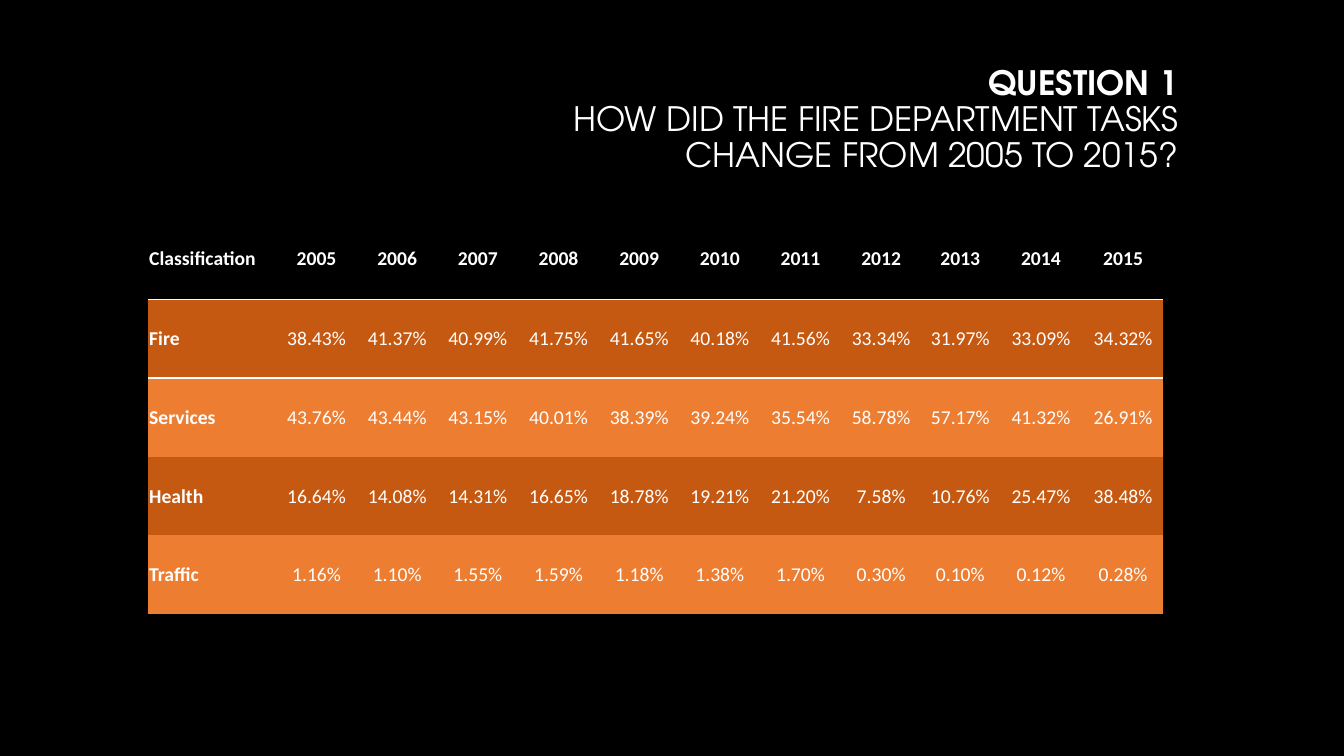
from lxml import etree
from pptx import Presentation
from pptx.dml.color import RGBColor
from pptx.enum.text import MSO_ANCHOR, PP_ALIGN
from pptx.oxml.ns import qn
from pptx.util import Inches, Pt

BLACK = RGBColor(0x00, 0x00, 0x00)
WHITE = RGBColor(0xFF, 0xFF, 0xFF)
DARK = RGBColor(0xC6, 0x59, 0x11)
LIGHT = RGBColor(0xED, 0x7D, 0x31)
MIDDLE = MSO_ANCHOR.MIDDLE
LEFT, CENTER, RIGHT = PP_ALIGN.LEFT, PP_ALIGN.CENTER, PP_ALIGN.RIGHT
NO_GRID = "{2D5ABB26-0587-4C30-8999-92F81FD0307C}"

ROWS = [
    ["Classification"] + [str(year) for year in range(2005, 2016)],
    ["Fire", "38.43%", "41.37%", "40.99%", "41.75%", "41.65%", "40.18%",
     "41.56%", "33.34%", "31.97%", "33.09%", "34.32%"],
    ["Services", "43.76%", "43.44%", "43.15%", "40.01%", "38.39%", "39.24%",
     "35.54%", "58.78%", "57.17%", "41.32%", "26.91%"],
    ["Health", "16.64%", "14.08%", "14.31%", "16.65%", "18.78%", "19.21%",
     "21.20%", "7.58%", "10.76%", "25.47%", "38.48%"],
    ["Traffic", "1.16%", "1.10%", "1.55%", "1.59%", "1.18%", "1.38%",
     "1.70%", "0.30%", "0.10%", "0.12%", "0.28%"],
]
WIDTHS = [1.27] + [0.8] * 8 + [0.77, 0.83, 0.8]
HEIGHTS = [0.81] + [0.78] * 4
FILLS = [BLACK, DARK, LIGHT, DARK, LIGHT]


def add_run(para, text, font, size, bold):
    run = para.add_run()
    run.text = text
    run.font.name = font
    run.font.size = Pt(size)
    run.font.bold = bold
    run.font.color.rgb = WHITE


def add_edge(cell, side):
    props = cell._tc.get_or_add_tcPr()
    line = etree.Element(qn("a:" + side), w=str(Pt(1)))
    fill = etree.SubElement(line, qn("a:solidFill"))
    etree.SubElement(fill, qn("a:srgbClr"), val=str(WHITE))
    props.insert(0, line)


# Slide
deck = Presentation()
deck.slide_width, deck.slide_height = Inches(13.33), Inches(7.5)
slide = deck.slides.add_slide(deck.slide_layouts[6])
slide.background.fill.solid()
slide.background.fill.fore_color.rgb = BLACK

# Title, raised by a deep bottom margin
title = slide.shapes.add_textbox(
    Inches(4.33), Inches(0.58), Inches(7.45), Inches(1.59))
frame = title.text_frame
frame.word_wrap = True
frame.vertical_anchor = MIDDLE
frame.margin_bottom = Inches(0.41)
para = frame.paragraphs[0]
para.alignment = RIGHT
para.line_spacing = 0.9
add_run(para, "QUESTION 1", "TeX Gyre Adventor", 24, True)
para.add_line_break()
add_run(para, "HOW DID THE FIRE DEPARTMENT TASKS CHANGE FROM 2005 TO 2015?",
        "TeX Gyre Adventor", 24, False)

# Table frame
holder = slide.shapes.add_table(
    len(ROWS), len(WIDTHS), Inches(1.47), Inches(2.16),
    Inches(sum(WIDTHS)), Inches(sum(HEIGHTS)))
table = holder.table
table.first_row = False
table.horz_banding = False
table._tbl.tblPr.find(qn("a:tableStyleId")).text = NO_GRID
for col, width in zip(table.columns, WIDTHS):
    col.width = Inches(width)
for row, height in zip(table.rows, HEIGHTS):
    row.height = Inches(height)

# Table cells
for r, texts in enumerate(ROWS):
    for c, text in enumerate(texts):
        cell = table.cell(r, c)
        cell.vertical_anchor = MIDDLE
        cell.margin_left = cell.margin_right = cell.margin_top = Inches(0.01)
        cell.margin_bottom = 0
        cell.fill.solid()
        cell.fill.fore_color.rgb = FILLS[r]
        para = cell.text_frame.paragraphs[0]
        para.alignment = CENTER if c else LEFT
        add_run(para, text, "Calibri", 14, r == 0 or c == 0)
        # White rule under the header
        if r < 2:
            add_edge(cell, "lnT" if r else "lnB")

deck.save("out.pptx")
